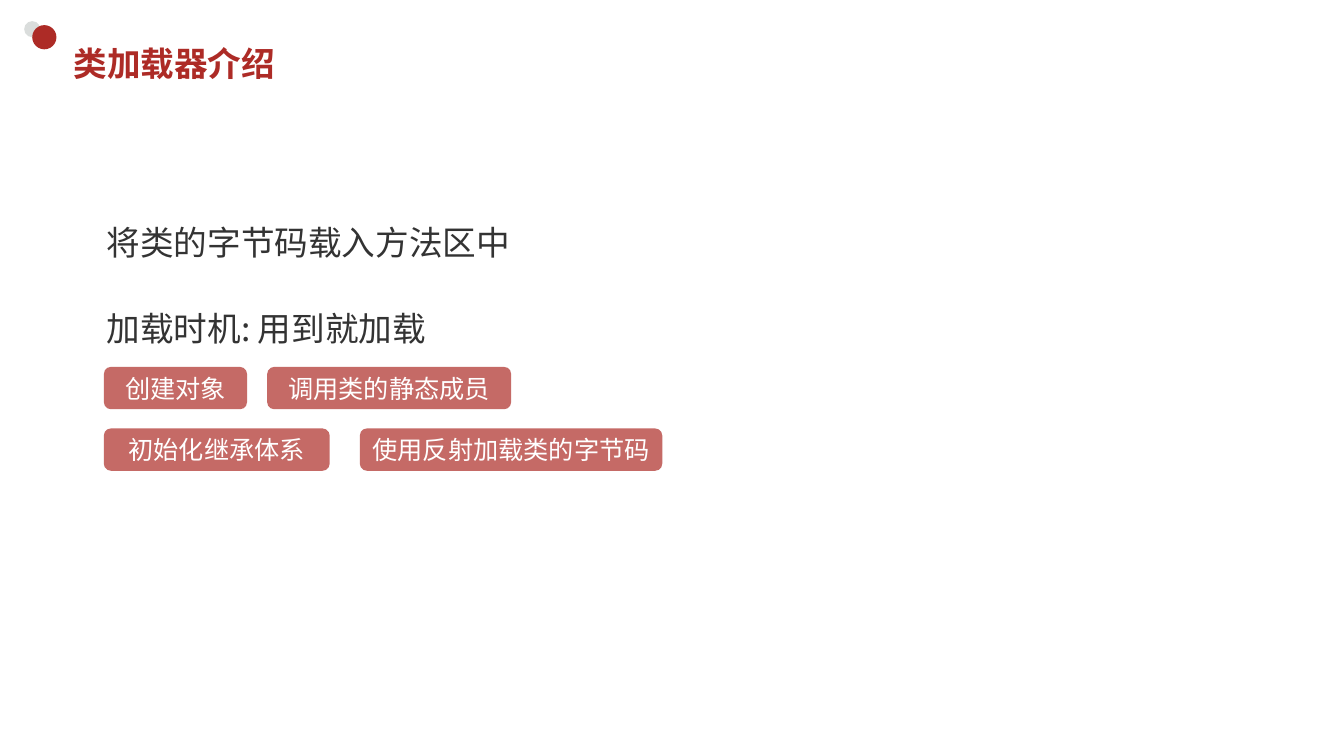
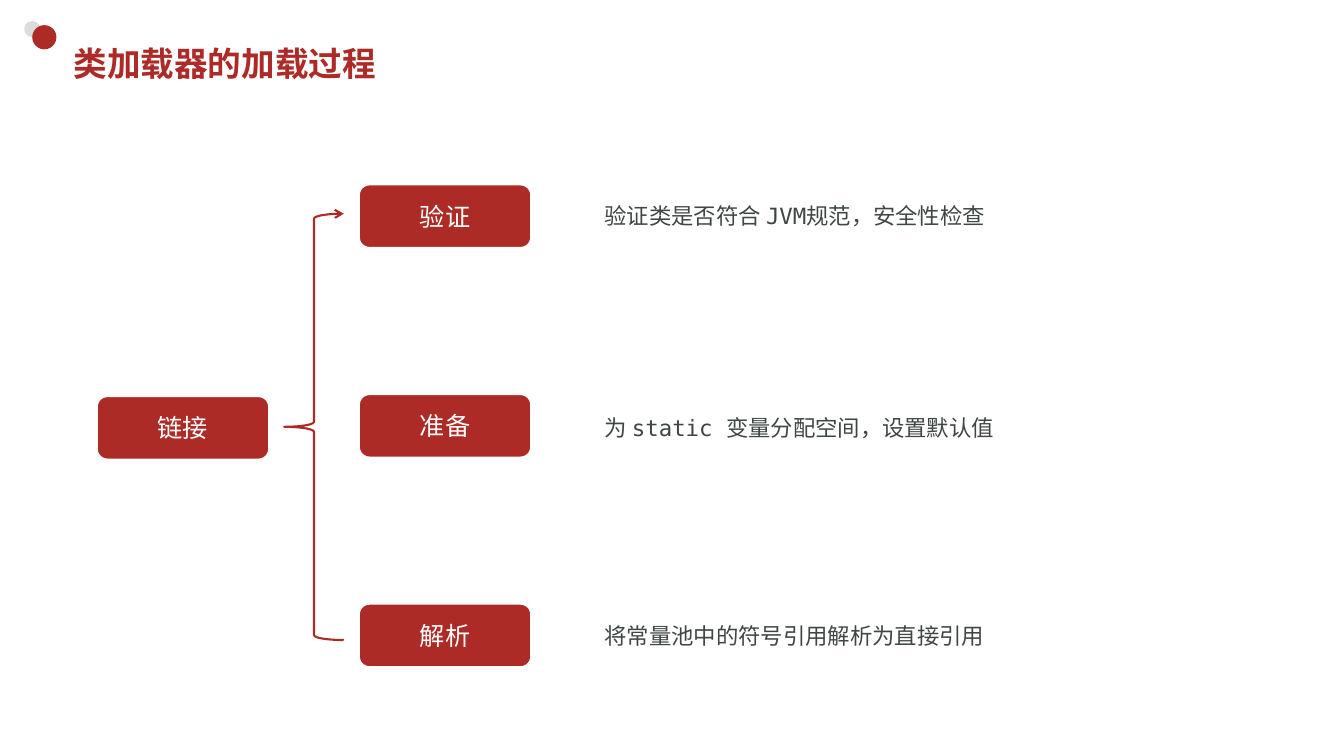
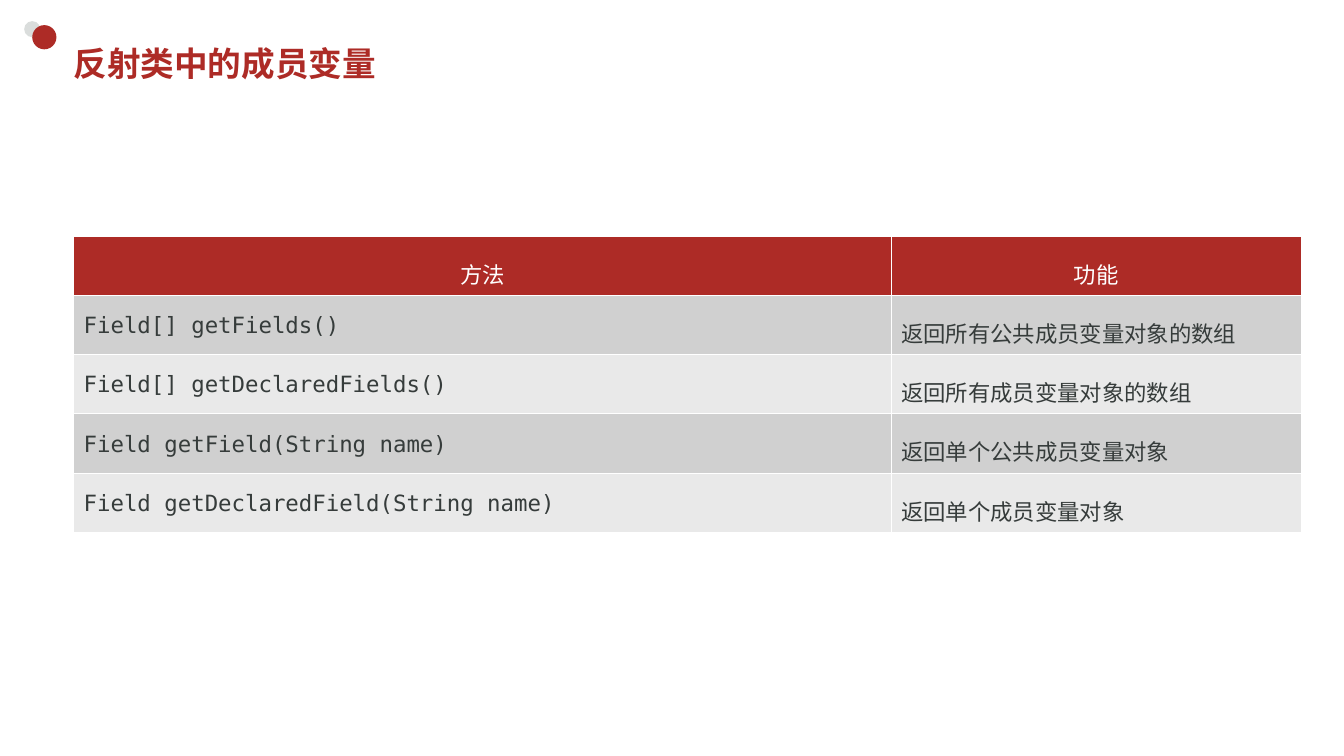
from lxml.etree import SubElement
from pptx import Presentation
from pptx.dml.color import RGBColor
from pptx.enum.shapes import MSO_SHAPE
from pptx.enum.text import MSO_ANCHOR, PP_ALIGN
from pptx.oxml.ns import qn
from pptx.util import Emu, Inches, Pt

# Shared look
color = RGBColor.from_string
RED, WHITE, INK, SLATE = "AD2B26", "FFFFFF", "333333", "3F4645"
SANS, MONO = "Noto Sans CJK JP", "DejaVu Sans Mono"

# Grid: 100 columns by 100 rows
deck = Presentation()
deck.slide_width, deck.slide_height = Emu(12192000), Inches(7.5)
column, row = deck.slide_width / 100, deck.slide_height / 100


def add_box(page, kind, left, top, width, height, fill=None, line=None):
    """Place a shape, or a text box when kind is None, on the grid."""
    area = [Emu(length) for length in
            (left * column, top * row, width * column, height * row)]
    if kind is None:
        return page.shapes.add_textbox(*area)
    box = page.shapes.add_shape(kind, *area)
    box.shadow.inherit = False
    if fill:
        box.fill.solid()
        box.fill.fore_color.rgb = color(fill)
    else:
        box.fill.background()
    if line:
        box.line.color.rgb = color(line)
        box.line.width = Pt(1.5)
    else:
        box.line.fill.background()
    return box


def write(frame, text, size, font, ink, bold=False, align=PP_ALIGN.LEFT, spacing=None):
    frame.word_wrap = True
    frame.text = text
    para = frame.paragraphs[0]
    para.alignment = align
    para.line_spacing = spacing
    para.font.size, para.font.bold, para.font.name = Pt(size), bold, font
    para.font.color.rgb = color(ink)
    SubElement(para.font._element, qn("a:ea"), typeface=SANS)


# Title place, shared through the layout
layout = deck.slide_layouts.get_by_name("Title Only")
heading = layout.placeholders[0]
heading.left, heading.top = Emu(4.72 * column), Emu(4.93 * row)
heading.width, heading.height = Emu(88.05 * column), Emu(6.93 * row)
heading.text_frame.vertical_anchor = MSO_ANCHOR.MIDDLE

pages = []
for title in ("类加载器介绍", "类加载器的加载过程", "反射类中的成员变量"):
    page = deck.slides.add_slide(layout)
    write(page.shapes.title.text_frame, title, 24, MONO, RED, bold=True)
    pages.append(page)
intro, process, fields = pages

# Corner dots, moved into the layout
for number, (left, top, width, height, fill) in enumerate((
        (1.8, 2.8, 1.2, 2.13, "DADDDC"), (2.4, 3.33, 1.8, 3.2, RED))):
    dot = add_box(intro, MSO_SHAPE.OVAL, left, top, width, height, fill)
    dot._element.nvSpPr.cNvPr.set("id", str(20 + number))
    layout.shapes._spTree.append(dot._element)

# Introduction: statements
for top, text in ((26, "将类的字节码载入方法区中"), (37.47, "加载时机: 用到就加载")):
    box = add_box(intro, None, 7.2, top, 33.83, 8.4)
    write(box.text_frame, text, 24, SANS, INK, spacing=1.5)

# Introduction: rows of translucent pills
pill_rows = (
    (48.53, 1.5, (("创建对象", 10.65), ("调用类的静态成员", 18.15))),
    (56.67, 2.25, (("初始化继承体系", 16.8), ("使用反射加载类的字节码", 22.5))),
)
for top, gap, pills in pill_rows:
    left = 7.73
    for text, width in pills:
        pill = add_box(intro, MSO_SHAPE.ROUNDED_RECTANGLE, left, top, width, 5.6, RED)
        tint = pill._element.spPr.find(f"{qn('a:solidFill')}/{qn('a:srgbClr')}")
        SubElement(tint, qn("a:alpha"), val="70000")
        write(pill.text_frame, text, 18, "Arial", WHITE, align=PP_ALIGN.CENTER)
        pill.text_frame.word_wrap = False
        left += width + gap

# Process: link step and its three stages
first, step = 24.4, 27.73
stages = [(26.7, first + step * number, text)
          for number, text in enumerate(("验证", "准备", "解析"))]
for left, top, text in [(7.2, 52.4, "链接"), *stages]:
    box = add_box(process, MSO_SHAPE.ROUNDED_RECTANGLE,
                  left, top, 12.83, 8.4, RED, WHITE)
    write(box.text_frame, text, 18, SANS, WHITE, align=PP_ALIGN.CENTER)

# Process: brace with an arrowhead
brace = add_box(process, MSO_SHAPE.LEFT_BRACE, 21.15, 28.27, 4.43, 56.4, line=RED)
SubElement(brace.line._get_or_add_ln(), qn("a:tailEnd"), type="arrow")

# Process: explanations
for top, text in (
        (24.27, "验证类是否符合 JVM规范，安全性检查"),
        (52.4, "为 static 变量分配空间，设置默认值"),
        (79.87, "将常量池中的符号引用解析为直接引用")):
    box = add_box(process, None, 44.25, top, 35.63, 6.13)
    write(box.text_frame, text, 16, MONO, SLATE, spacing=1.5)

# Fields: method table
methods = (
    ("方法", "功能"),
    ("Field[] getFields()", "返回所有公共成员变量对象的数组"),
    ("Field[] getDeclaredFields()", "返回所有成员变量对象的数组"),
    ("Field getField(String name)", "返回单个公共成员变量对象"),
    ("Field getDeclaredField(String name)", "返回单个成员变量对象"),
)
table = fields.shapes.add_table(
    len(methods), 2, Emu(5.48 * column), Emu(31.33 * row),
    Emu(91.35 * column), Emu(39 * row)).table
for table_column, width in zip(table.columns, (60.83, 30.52)):
    table_column.width = Emu(width * column)
for table_row, height in zip(table.rows, (7.6, 7.8, 7.87, 7.87, 7.87)):
    table_row.height = Emu(height * row)
for number, texts in enumerate(methods):
    if number == 0:
        fill, ink, align = RED, WHITE, PP_ALIGN.CENTER
    else:
        fill, ink, align = ("E9E9E9", "D0D0D0")[number % 2], "363C3B", PP_ALIGN.LEFT
    for cell, text in zip(table.rows[number].cells, texts):
        cell.fill.solid()
        cell.fill.fore_color.rgb = color(fill)
        write(cell.text_frame, text, 16, MONO, ink, align=align, spacing=1.5)

deck.save("out.pptx")
